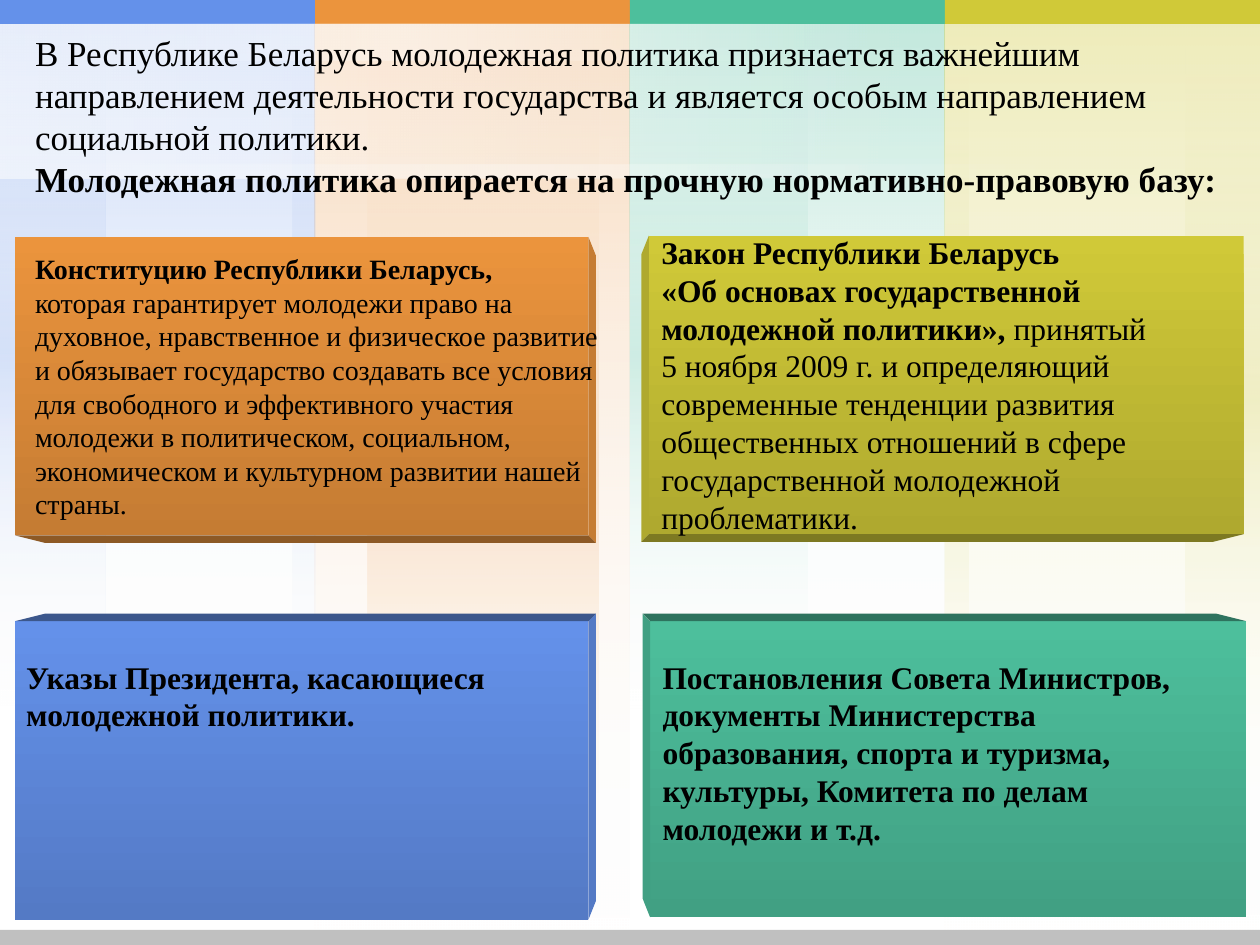
from lxml.etree import SubElement
from pptx import Presentation
from pptx.dml.color import RGBColor
from pptx.enum.shapes import MSO_SHAPE
from pptx.oxml.ns import qn
from pptx.util import Inches, Pt

BLUE = RGBColor(0x64, 0x91, 0xEA)
ORANGE = RGBColor(0xEB, 0x94, 0x3D)
GREEN = RGBColor(0x4D, 0xBF, 0x9C)
GOLD = RGBColor(0xD0, 0xC9, 0x38)
WHITE = RGBColor(0xFF, 0xFF, 0xFF)
GREY = RGBColor(0xC0, 0xC0, 0xC0)
BLACK = RGBColor(0, 0, 0)
FONT = "Times New Roman"
BEVEL = 0.06
BREAK = ("\n", False)


def shade(color, part):
    return RGBColor(*(round(c * part) for c in color))


def add_rect(slide, box, color=None, stops=None, turn=0):
    rect = slide.shapes.add_shape(MSO_SHAPE.RECTANGLE, *map(Inches, box))
    rect.shadow.inherit = False
    rect.line.fill.background()
    rect.rotation = turn
    if not stops:
        rect.fill.solid()
        rect.fill.fore_color.rgb = color
        return
    rect.fill.gradient()
    rect.fill.gradient_angle = 270
    items = rect.element.spPr.find(qn("a:gradFill")).find(qn("a:gsLst"))
    for old in list(items):
        items.remove(old)
    for place, tint, alpha in stops:
        stop = SubElement(items, qn("a:gs"), pos=str(place * 1000))
        node = SubElement(stop, qn("a:srgbClr"), val=str(tint))
        if alpha < 100:
            SubElement(node, qn("a:alpha"), val=str(alpha * 1000))


def add_text(slide, box, text, size=18, color=BLACK):
    shape = slide.shapes.add_textbox(*map(Inches, box))
    frame = shape.text_frame
    frame.word_wrap = True
    for i, runs in enumerate(text):
        para = frame.paragraphs[0] if i == 0 else frame.add_paragraph()
        for words, bold in runs:
            if words == "\n":
                para.add_line_break()
                continue
            run = para.add_run()
            run.text = words
            font = run.font
            font.name, font.size, font.bold = FONT, Pt(size), bold
            font.color.rgb = color


def fade(color, alpha):
    return [(0, color, alpha), (100, WHITE, 0)]


def glow(color, alpha):
    return [(0, WHITE, 0), (50, color, alpha), (100, WHITE, 0)]


def add_stripe(slide, box, color, bands):
    left, top, width, height = box
    add_rect(slide, box, stops=fade(color, 20))
    for shift, wide, tall in bands:
        add_rect(slide, (left + shift, top, wide, tall), stops=glow(color, 20))
    add_rect(slide, box, stops=fade(color, 20))


def add_back(slide, box):
    left, top, width, height = box
    step = width / 4
    stripes = [
        (1, ORANGE, 7.5, [(0.42, 1.83, 7.5)]),
        (2, GREEN, 5.62, [(0, 1.41, 5.62)]),
        (3, GOLD, 7.47, [(0, 0.19, 6.37), (1.91, 0.59, 6.37)]),
        (0, BLUE, 5.62, [(2.32, 0.18, 5.62), (0, 0.84, 5.62)]),
    ]
    for col, color, tall, bands in stripes:
        add_stripe(slide, (left + col * step, top, step, tall), color, bands)
    for col, color, tall, bands in stripes:
        add_rect(slide, (left + col * step, top, step, 0.19), color)
    sheen = (3.15, -2.95, 1.22, 7.51)
    for place, kind in [((4.16, -2.85, 0.1, 8.42), glow), (sheen, fade),
                        ((3.06, -2.87, 0.29, 6.41), glow), (sheen, fade)]:
        add_rect(slide, place, stops=kind(WHITE, 35), turn=270)
    add_rect(slide, (left, top + height - 0.12, width, 0.12), GREY)


def add_facet(slide, points, color):
    spots = [(Inches(x), Inches(y)) for x, y in points]
    pen = slide.shapes.build_freeform(*spots[0])
    pen.add_line_segments(spots[1:])
    facet = pen.convert_to_shape()
    facet.shadow.inherit = False
    facet.fill.solid()
    facet.fill.fore_color.rgb = color
    facet.line.fill.background()


def add_panel(slide, box, color, across, down):
    left, top, width, height = box
    near, far = (left + width, left) if across > 0 else (left, left + width)
    edge, back = (top + height, top) if down > 0 else (top, top + height)
    tip = near + across * BEVEL
    rim = edge + down * BEVEL
    add_rect(slide, box, stops=[(0, color, 100), (100, shade(color, 0.84), 100)])
    add_facet(slide, [(near, back), (tip, back + down * 0.15), (tip, rim),
                      (near, edge)], shade(color, 0.84))
    add_facet(slide, [(far, edge), (near, edge), (tip, rim),
                      (far + across * 0.24, rim)], shade(color, 0.6))


def add_title(slide, box):
    add_text(slide, box, [[
        ("В Республике Беларусь молодежная политика признается важнейшим "
         "направлением деятельности государства и является особым "
         "направлением социальной политики.", False),
        BREAK,
        ("Молодежная политика опирается на прочную "
         "нормативно-правовую базу:", True),
    ]], size=20)


def add_laws(slide):
    add_panel(slide, (0.12, 1.88, 4.55, 2.37), ORANGE, 1, 1)
    add_panel(slide, (5.15, 1.87, 4.72, 2.37), GOLD, -1, 1)
    add_panel(slide, (0.12, 4.93, 4.55, 2.37), BLUE, 1, -1)
    add_panel(slide, (5.16, 4.93, 4.73, 2.35), GREEN, -1, -1)
    add_text(slide, (0.11, 5.17, 4.49, 1.01), [
        [("Указы Президента, касающиеся молодежной политики.", True)],
    ])
    add_text(slide, (0.18, 1.95, 4.74, 2.26), [
        [("Конституцию Республики Беларусь,", True)],
        [("которая гарантирует молодежи право на духовное, нравственное и "
          "физическое развитие и обязывает государство создавать все условия "
          "для свободного и эффективного участия молодежи в политическом, "
          "социальном, экономическом и культурном развитии нашей страны.",
          False)],
    ], size=16)
    add_text(slide, (5.15, 1.8, 4.71, 2.83), [
        [("Закон Республики Беларусь", True)],
        [("«Об основах государственной молодежной политики», ", True),
         ("принятый", False)],
        [("5 ноября 2009 г. и определяющий современные тенденции развития "
          "общественных отношений в сфере государственной молодежной "
          "проблематики.", False)],
    ])
    add_text(slide, (5.16, 5.17, 4.69, 1.92), [
        [("Постановления Совета Министров, документы Министерства "
          "образования, спорта и туризма, культуры, Комитета по делам "
          "молодежи и т.д.", True)],
    ])


def main():
    deck = Presentation()
    deck.slide_width, deck.slide_height = Inches(10), Inches(7.5)
    slide = deck.slides.add_slide(deck.slide_layouts[6])
    add_back(slide, (0, 0, 10, 7.5))
    add_title(slide, (0.18, 0.2, 9.69, 1.44))
    add_laws(slide)
    deck.save("out.pptx")


if __name__ == "__main__":
    main()
